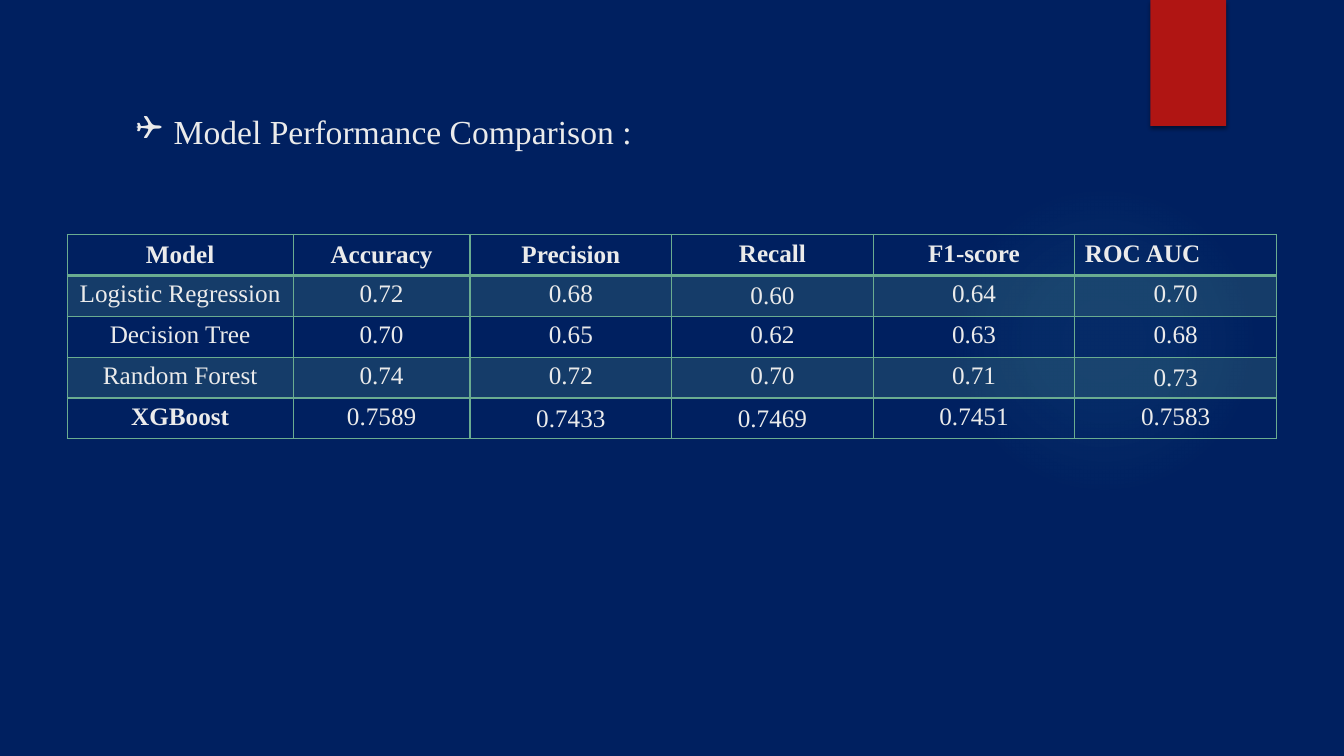
from pptx import Presentation
from pptx.dml.color import RGBColor
from pptx.enum.shapes import MSO_SHAPE
from pptx.enum.text import MSO_ANCHOR, PP_ALIGN
from pptx.oxml import parse_xml
from pptx.oxml.ns import nsdecls, qn
from pptx.util import Pt

OVAL, RECT = MSO_SHAPE.OVAL, MSO_SHAPE.RECTANGLE
TOP, MIDDLE = MSO_ANCHOR.TOP, MSO_ANCHOR.MIDDLE
LEFT, CENTER = PP_ALIGN.LEFT, PP_ALIGN.CENTER
FONT = "Times New Roman"
NAVY, RED, TEAL, GREEN, PALE = "002060", "B01513", "4CB9C3", "6AAC90", "EBEBEB"


def color(code):
    return RGBColor.from_string(code)


def node(tag, attrs="", inner=""):
    """Make a drawing element from its tag, attributes and inner XML."""
    return parse_xml(f'<a:{tag} {nsdecls("a")} {attrs}>{inner}</a:{tag}>')


deck = Presentation()
deck.slide_width, deck.slide_height = Pt(960), Pt(540)
slide = deck.slides.add_slide(deck.slide_layouts[6])
slide.background.fill.solid()
slide.background.fill.fore_color.rgb = color(NAVY)

# Soft glow
glow = slide.shapes.add_shape(OVAL, Pt(677.5), Pt(131.8), Pt(221.8), Pt(221.8))
glow.shadow.inherit = False
glow.line.fill.background()
glow.fill.background()
stops = "".join(
    f'<a:gs pos="{pos * 1000}"><a:srgbClr val="{TEAL}">'
    f'<a:alpha val="{alpha * 1000}"/></a:srgbClr></a:gs>'
    for pos, alpha in [(0, 7), (36, 6), (69, 0), (100, 0)])
props = glow._element.spPr
props.replace(props.find(qn("a:noFill")), node(
    "gradFill", 'rotWithShape="1"',
    f'<a:gsLst>{stops}</a:gsLst><a:path path="circle">'
    '<a:fillToRect l="50000" t="50000" r="50000" b="50000"/></a:path>'))

# Red tab
tab = slide.shapes.add_shape(RECT, Pt(821.8), 0, Pt(54), Pt(90))
tab.fill.solid()
tab.fill.fore_color.rgb = color(RED)
tab.line.fill.background()
tab.shadow.inherit = False
tab._element.spPr.find(qn("a:effectLst")).append(node(
    "outerShdw", f'blurRad="{Pt(3)}" dist="{Pt(2)}" dir="5400000" rotWithShape="0"',
    '<a:srgbClr val="000000"><a:alpha val="45000"/></a:srgbClr>'))

# Title
title = slide.shapes.add_textbox(Pt(90), Pt(61.2), Pt(674.6), Pt(45.4))
title.text_frame.word_wrap = True
title.text_frame.text = "Model Performance Comparison :"
para = title.text_frame.paragraphs[0]
para.line_spacing = 1.5
props = para._p.get_or_add_pPr()
props.set("marL", str(Pt(27)))
props.set("indent", str(Pt(-27)))
props.append(node("buClr", "", f'<a:srgbClr val="{PALE}"/>'))
props.append(node("buFont", 'typeface="Wingdings"'))
props.append(node("buChar", 'char="❑"'))
font = para.runs[0].font
font.name, font.size = FONT, Pt(24)
font.color.rgb = color(PALE)

# Scores
rows = [
    ["Model", "Accuracy", "Precision", "Recall", "F1-score", "ROC AUC"],
    ["Logistic Regression", "0.72", "0.68", "0.60", "0.64", "0.70"],
    ["Decision Tree", "0.70", "0.65", "0.62", "0.63", "0.68"],
    ["Random Forest", "0.74", "0.72", "0.70", "0.71", "0.73"],
    ["XGBoost", "0.7589", "0.7433", "0.7469", "0.7451", "0.7583"],
]
widths = [161.4, 126.4] + [144] * 4
middles = {(0, 0), (0, 1), (0, 2), (1, 3), (3, 5), (4, 2), (4, 3)}
height = 29.2
frame = slide.shapes.add_table(len(rows), len(widths), Pt(48), Pt(167.5),
                               Pt(sum(widths)), Pt(height * len(rows)))
table = frame.table
for col, width in zip(table.columns, widths):
    col.width = Pt(width)
for r, row in enumerate(rows):
    table.rows[r].height = Pt(height)
    for c, text in enumerate(row):
        cell = table.cell(r, c)
        cell.vertical_anchor = MIDDLE if (r, c) in middles else TOP
        cell.text_frame.text = text
        para = cell.text_frame.paragraphs[0]
        para.alignment = LEFT if text == "ROC AUC" else CENTER
        font = para.runs[0].font
        font.name, font.size = FONT, Pt(18)
        font.bold = r == 0 or text == "XGBoost"
        font.color.rgb = color(PALE)

        props = cell._tc.get_or_add_tcPr()
        if r % 2:
            cell.fill.solid()
            cell.fill.fore_color.rgb = color(GREEN)
            props.find(".//" + qn("a:srgbClr")).append(node("alpha", 'val="20000"'))
        else:
            cell.fill.background()
        for i, side in enumerate("LRTB"):
            thick = (r, side) in [(0, "B"), (1, "T")]
            props.insert(i, node(
                "ln" + side, f'w="{Pt(2 if thick else 1)}"',
                f'<a:solidFill><a:srgbClr val="{GREEN}"/></a:solidFill>'))

deck.save("out.pptx")
